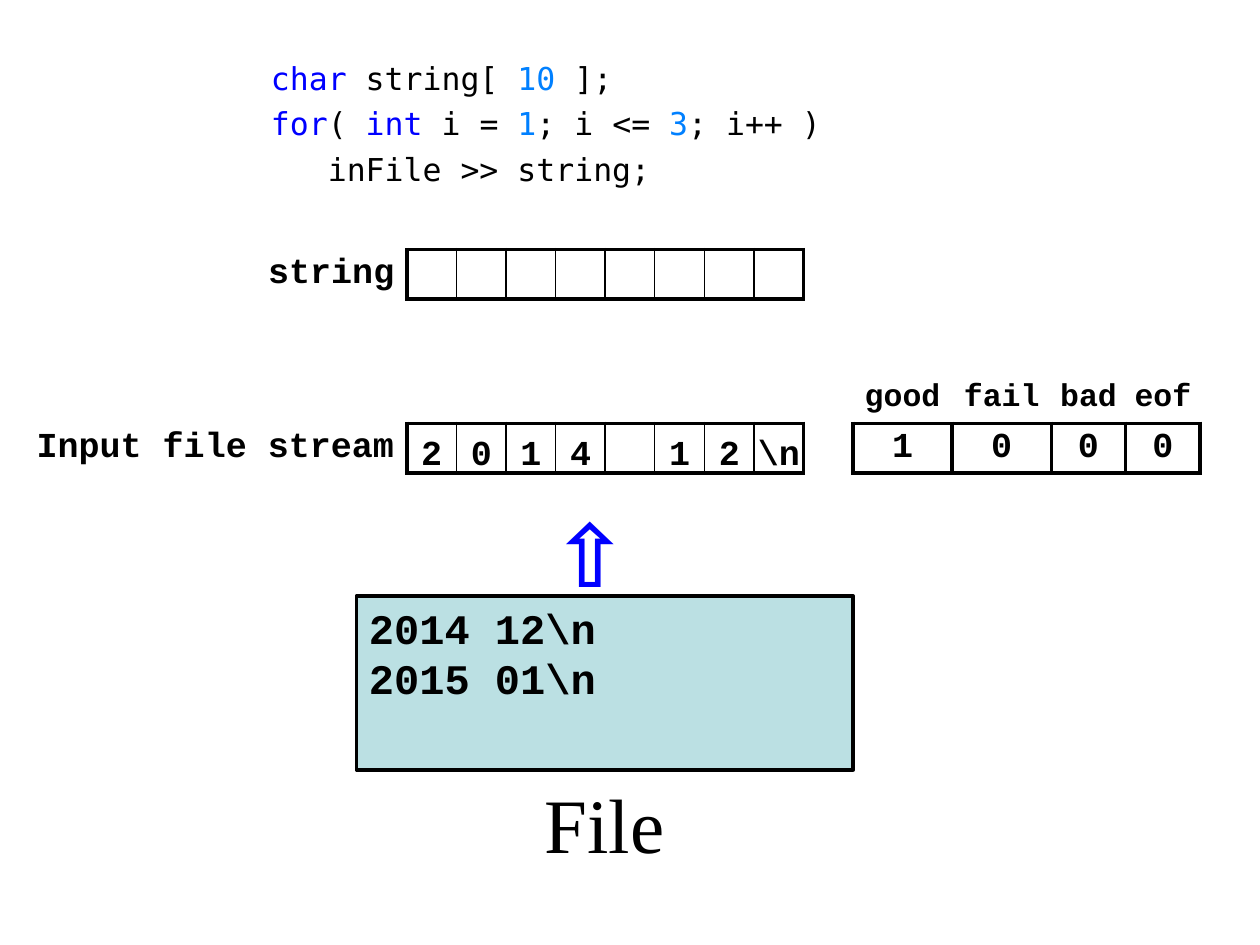
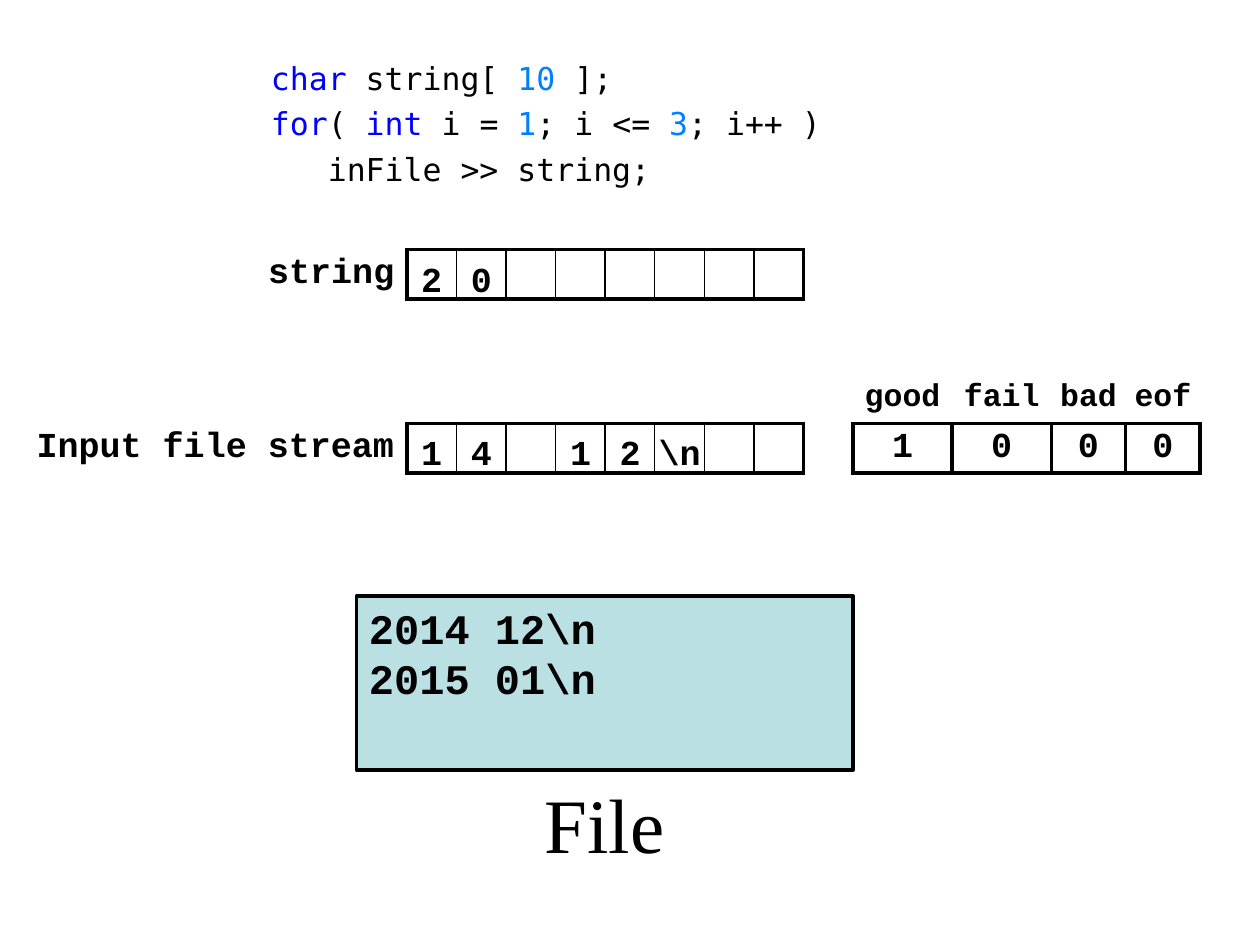
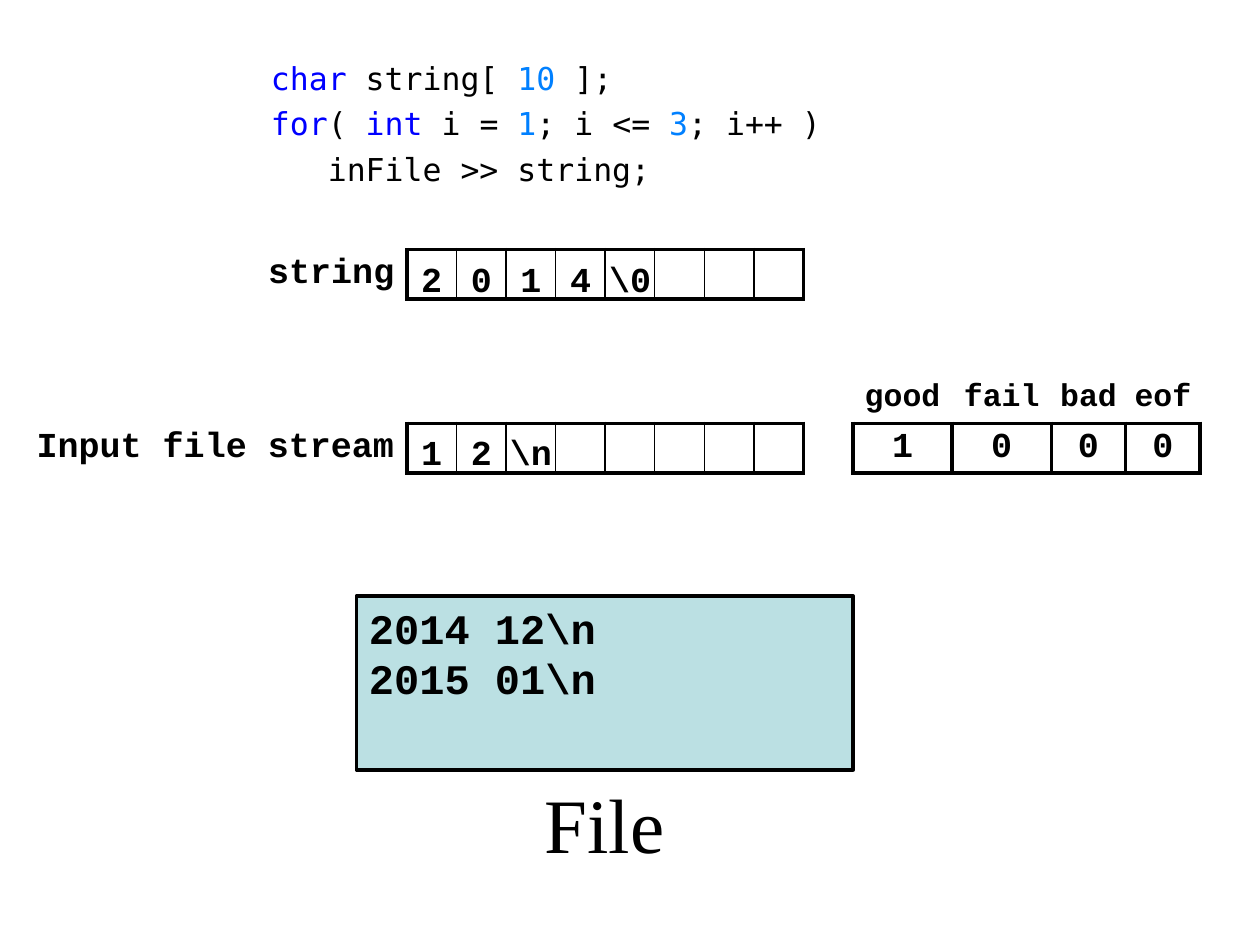
import pptx
import pptx.util
import pptx.dml.color
import pptx.enum.shapes
import pptx.enum.text
import pptx.oxml.ns
from lxml import etree

Inches = pptx.util.Inches
Pt = pptx.util.Pt
Align = pptx.enum.text.PP_ALIGN
Anchor = pptx.enum.text.MSO_ANCHOR

COLORS = {"ink": "000000", "key": "0000FF", "num": "0080FF", "file": "BBE0E3"}
MONO, CODE, SERIF = "Courier New", "DejaVu Sans Mono", "Times New Roman"
CELL = 1 / 2.54  # the grid is one centimetre
START = 3.23
SLOTS = 8
THICK, THIN = 2.25, 1
PLAIN_TABLE = "{2D5ABB26-0587-4C30-8999-92F81FD0307C}"
STRING_TOP, STREAM_TOP = 1.98, 3.36

SNIPPET = [
    [("char", "key"), (" string[ ", "ink"), ("10", "num"), (" ];", "ink")],
    [("for", "key"), ("( ", "ink"), ("int", "key"), (" i = ", "ink"),
     ("1", "num"), ("; i <= ", "ink"), ("3", "num"), ("; i++ )", "ink")],
    [("   inFile >> string;", "ink")],
]
FLAGS = [("good", "1", 2), ("fail", "0", 2), ("bad", "0", 1.5), ("eof", "0", 1.5)]

# Characters in the string, characters in the stream, and whether the file is read
STEPS = [
    ([], ["2", "0", "1", "4", "", "1", "2", "\\n"], True),
    (["2", "0"], ["1", "4", "", "1", "2", "\\n"], False),
    (["2", "0", "1", "4", "\\0"], ["1", "2", "\\n"], False),
]


def tint(name):
    return pptx.dml.color.RGBColor.from_string(COLORS[name])


def edge(cell, side, width):
    """Draw one side (L, R, T or B) of a table cell."""
    props = cell._tc.get_or_add_tcPr()
    tag = pptx.oxml.ns.qn(f"a:ln{side}")
    for old in props.findall(tag):
        props.remove(old)
    line = etree.Element(tag, w=str(Pt(width)))
    fill = etree.SubElement(line, pptx.oxml.ns.qn("a:solidFill"))
    etree.SubElement(fill, pptx.oxml.ns.qn("a:srgbClr"), val=COLORS["ink"])
    order = [pptx.oxml.ns.qn(f"a:ln{s}") for s in "LRTB"]
    before = order[:order.index(tag)]
    props.insert(sum(item.tag in before for item in props), line)


def frame(table, row, first, last, inner):
    """Frame a run of cells, with lines of width inner between them."""
    for col in range(first, last + 1):
        cell = table.cell(row, col)
        edge(cell, "L", THICK if col == first else inner)
        edge(cell, "R", THICK if col == last else inner)
        edge(cell, "T", THICK)
        edge(cell, "B", THICK)
        if row:
            edge(table.cell(row - 1, col), "B", THICK)
    edge(table.cell(row, first - 1), "R", THICK)
    if last + 1 < len(table.columns):
        edge(table.cell(row, last + 1), "L", THICK)


class Deck:
    """Holds the style and the current slide."""

    def __init__(self):
        self.prs = pptx.Presentation()
        self.prs.slide_width, self.prs.slide_height = Inches(10), Inches(7.5)

    def start(self):
        self.slide = self.prs.slides.add_slide(self.prs.slide_layouts[1])
        title = self.slide.shapes.title
        title._element.getparent().remove(title._element)

    def style(self, para, size, face=MONO, bold=True, color="ink", align=Align.LEFT):
        para.alignment = align
        font = para.font
        font.name, font.size, font.bold = face, Pt(size), bold
        font.color.rgb = tint(color)

    def pad(self, frame, left, top, right, bottom):
        frame.margin_left, frame.margin_top = Inches(left), Inches(top)
        frame.margin_right, frame.margin_bottom = Inches(right), Inches(bottom)

    def code(self, lines):
        body = self.slide.placeholders[1]
        body.left, body.top = Inches(2.05), Inches(0.4)
        body.width, body.height = Inches(4.72), Inches(1.18)
        text = body.text_frame
        text.auto_size = pptx.enum.text.MSO_AUTO_SIZE.NONE
        self.pad(text, 0.1, 0.07, 0.08, 0.05)
        for i, line in enumerate(lines):
            para = text.paragraphs[0] if i == 0 else text.add_paragraph()
            props = para._p.get_or_add_pPr()
            props.set("marL", "0")
            props.set("indent", "0")
            para.space_before = Pt(4.2 if i else 0)
            etree.SubElement(props, pptx.oxml.ns.qn("a:buNone"))
            self.style(para, 18, CODE, False)
            for part, color in line:
                run = para.add_run()
                run.text = part
                run.font.color.rgb = tint(color)

    def text(self, words, left, top, width, height, size, pads=(0, 0, 0, 0),
             wrap=True, anchor=Anchor.TOP, **look):
        box = self.slide.shapes.add_textbox(
            Inches(left), Inches(top), Inches(width), Inches(height))
        text = box.text_frame
        text.word_wrap, text.vertical_anchor = wrap, anchor
        self.pad(text, *pads)
        text.text = words
        self.style(text.paragraphs[0], size, **look)

    def chars(self, items, top):
        """Place one character on each cell of a strip."""
        for i, item in enumerate(items):
            if item:
                self.text(item, START + i * CELL, top, CELL, CELL, 20,
                          pads=(0, 0.06, 0, 0), anchor=Anchor.MIDDLE,
                          align=Align.CENTER)

    def table(self, left, top, widths, rows):
        height = CELL * len(rows)
        table = self.slide.shapes.add_table(
            len(rows), len(widths), Inches(left), Inches(top),
            Inches(sum(widths)), Inches(height)).table
        table.first_row = table.horz_banding = False
        table._tbl.tblPr.find(pptx.oxml.ns.qn("a:tableStyleId")).text = PLAIN_TABLE
        for col, width in zip(table.columns, widths):
            col.width = Inches(width)
        for r, row in enumerate(rows):
            table.rows[r].height = Inches(CELL)
            for c, words in enumerate(row):
                cell = table.cell(r, c)
                cell.fill.background()
                cell.vertical_anchor = Anchor.MIDDLE
                self.pad(cell, 0, 0, 0 if c else 0.1, 0)
                cell.text = words
                self.style(cell.text_frame.paragraphs[0], 18 if len(rows) - 1 > r else 20,
                           align=Align.CENTER if c else Align.RIGHT)
        return table

    def string(self):
        label = 3 * CELL
        table = self.table(START - label, STRING_TOP, [label] + [CELL] * SLOTS,
                           [["string"] + [""] * SLOTS])
        frame(table, 0, 1, SLOTS, THIN)

    def stream(self):
        names, values, spans = zip(*FLAGS)
        label = 7.5 * CELL
        widths = [label] + [CELL] * (SLOTS + 1) + [CELL * span for span in spans]
        blank = [""] * (SLOTS + 1)
        table = self.table(START - label, STREAM_TOP - CELL, widths,
                           [["", *blank, *names], ["Input file stream", *blank, *values]])
        frame(table, 1, 1, SLOTS, THIN)
        frame(table, 1, SLOTS + 2, len(widths) - 1, THICK)

    def file(self, lines):
        box = self.slide.shapes.add_shape(
            pptx.enum.shapes.MSO_SHAPE.RECTANGLE,
            Inches(2.83), Inches(4.73), Inches(3.94), Inches(1.38))
        box.shadow.inherit = False
        box.fill.solid()
        box.fill.fore_color.rgb = tint("file")
        box.line.color.rgb = tint("ink")
        box.line.width = Pt(THICK)
        text = box.text_frame
        text.vertical_anchor = Anchor.TOP
        text.text = "\n".join(lines)
        for para in text.paragraphs:
            self.style(para, 24)
        self.text("File", 4.21, 6.11, 1.18, 0.98, 44, pads=(0.1, 0.05, 0.1, 0.05),
                  wrap=False, face=SERIF, bold=False, align=Align.CENTER)

    def arrow(self):
        self.text("⇧", 4.41, 3.75, 0.79, 0.98, 66, color="key")


def main():
    deck = Deck()
    for string, stream, reading in STEPS:
        deck.start()
        deck.code(SNIPPET)
        deck.stream()
        deck.string()
        deck.file(["2014 12\\n", "2015 01\\n"])
        if reading:
            deck.arrow()
        deck.chars(string, STRING_TOP)
        deck.chars(stream, STREAM_TOP)
    deck.prs.save("out.pptx")


if __name__ == "__main__":
    main()
